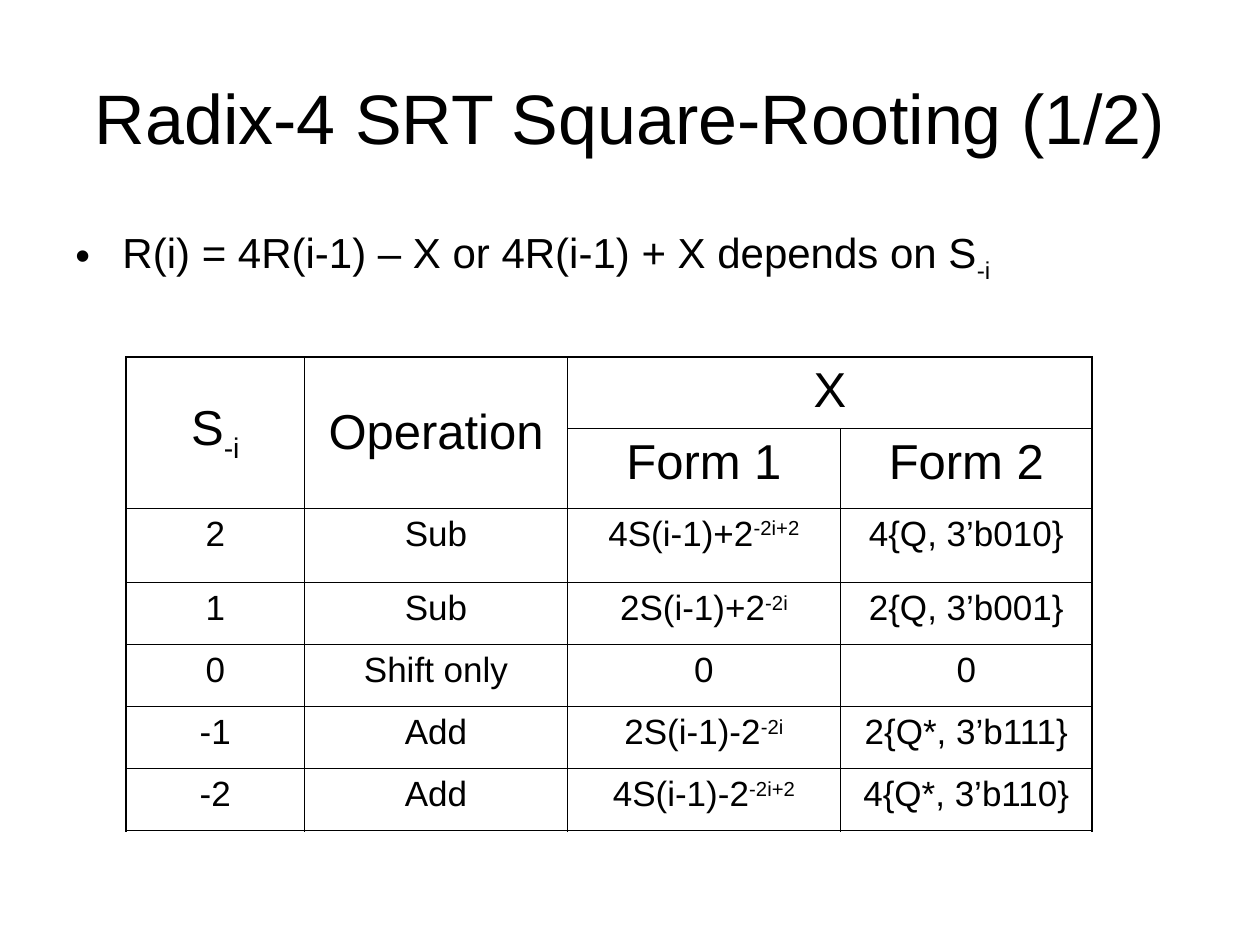
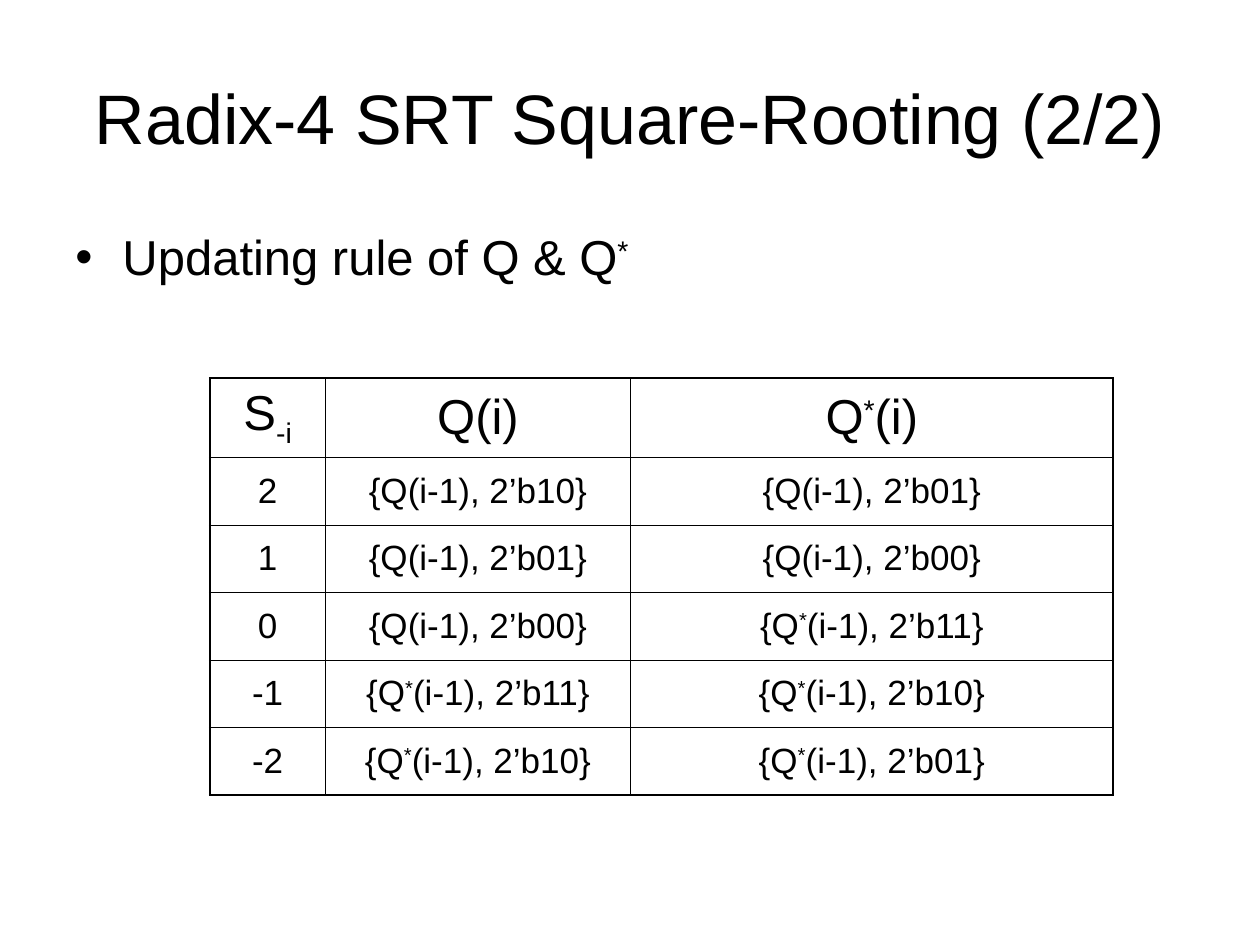
from dataclasses import dataclass

from lxml.etree import SubElement
from pptx import Presentation
from pptx.dml.color import RGBColor
from pptx.enum.text import MSO_ANCHOR, PP_ALIGN
from pptx.oxml.ns import qn
from pptx.util import Cm, Pt


# Shared look
@dataclass(frozen=True)
class Theme:
    font: str = "Arial"
    ink: str = "000000"
    title: int = 40
    head: int = 28
    note: int = 24
    cell: int = 20
    outer_line: float = 1.08
    inner_line: float = 0.45


THEME = Theme()
BASELINES = {"^": "30000", "_": "-25000"}


def set_attrs(obj, formats):
    for name, value in formats.items():
        setattr(obj, name, value)


def add_runs(p, text, size):
    """Split text at "|"; a part led by ^ or _ is raised or lowered."""
    for part in text.split("|"):
        r = p.add_run()
        r.text = part.lstrip("^_")
        set_attrs(r.font, {"name": THEME.font, "size": Pt(size)})
        r.font.color.rgb = RGBColor.from_string(THEME.ink)
        if part[0] in BASELINES:
            r._r.get_or_add_rPr().set("baseline", BASELINES[part[0]])


def add_text(s, box, text, size, anchor, formats):
    tf = s.shapes.add_textbox(*map(Cm, box)).text_frame
    set_attrs(tf, {"word_wrap": True, "vertical_anchor": anchor})
    p = tf.paragraphs[0]
    set_attrs(p, formats)
    add_runs(p, text, size)
    return p


def add_title(s, text):
    add_text(s, (1.27, 0.76, 22.86, 3.18), text, THEME.title,
             MSO_ANCHOR.MIDDLE, {"alignment": PP_ALIGN.CENTER})


def add_bullet(s, box, text, size):
    p = add_text(s, box, text, size, MSO_ANCHOR.TOP,
                 {"space_before": Pt(size // 4)})
    pPr = p._p.get_or_add_pPr()
    pPr.set("marL", str(Cm(0.95)))
    pPr.set("indent", str(-Cm(0.95)))
    SubElement(SubElement(pPr, qn("a:buClr")), qn("a:srgbClr"), val=THEME.ink)
    SubElement(pPr, qn("a:buFont"), typeface=THEME.font)
    SubElement(pPr, qn("a:buChar"), char="•")


def add_borders(cell, outer_sides):
    tcPr = cell._tc.get_or_add_tcPr()
    for side, is_outer in outer_sides.items():
        width = THEME.outer_line if is_outer else THEME.inner_line
        ln = SubElement(tcPr, qn(f"a:ln{side}"), w=str(Pt(width)))
        fill = SubElement(ln, qn("a:solidFill"))
        SubElement(fill, qn("a:srgbClr"), val=THEME.ink)


def add_grid(s, left, top, cols, heights, rows, anchor, heads=1, merges=()):
    """Table with a heavy outline; None marks a cell covered by a merge."""
    n_rows, n_cols = len(rows), len(cols)
    table = s.shapes.add_table(n_rows, n_cols, Cm(left), Cm(top),
                               Cm(sum(cols)), Cm(sum(heights))).table
    set_attrs(table, {"first_row": False, "horz_banding": False})
    for column, width in zip(table.columns, cols):
        column.width = Cm(width)
    for row, height in zip(table.rows, heights):
        row.height = Cm(height)
    for first, last in merges:
        table.cell(*first).merge(table.cell(*last))

    for i, row in enumerate(rows):
        size = THEME.head if i < heads else THEME.cell
        for j, text in enumerate(row):
            cell = table.cell(i, j)
            if text is not None:
                add_borders(cell, {"L": j == 0,
                                   "R": j + cell.span_width == n_cols,
                                   "T": i == 0,
                                   "B": i + cell.span_height == n_rows})
                tall = cell.span_height > 1
                cell.vertical_anchor = MSO_ANCHOR.MIDDLE if tall else anchor
                p = cell.text_frame.paragraphs[0]
                set_attrs(p, {"alignment": PP_ALIGN.CENTER,
                              "space_before": Pt(size // 4)})
                add_runs(p, text, size)
            cell.fill.background()


# Table contents
OPERATIONS = [
    ("S|_-i", "Operation", "X", None),
    (None, None, "Form 1", "Form 2"),
    ("2", "Sub", "4S(i-1)+2|^-2i+2", "4{Q, 3’b010}"),
    ("1", "Sub", "2S(i-1)+2|^-2i", "2{Q, 3’b001}"),
    ("0", "Shift only", "0", "0"),
    ("-1", "Add", "2S(i-1)-2|^-2i", "2{Q*, 3’b111}"),
    ("-2", "Add", "4S(i-1)-2|^-2i+2", "4{Q*, 3’b110}"),
]
UPDATES = [
    ("S|_-i", "Q(i)", "Q|^*|(i)"),
    ("2", "{Q(i-1), 2’b10}", "{Q(i-1), 2’b01}"),
    ("1", "{Q(i-1), 2’b01}", "{Q(i-1), 2’b00}"),
    ("0", "{Q(i-1), 2’b00}", "{Q|^*|(i-1), 2’b11}"),
    ("-1", "{Q|^*|(i-1), 2’b11}", "{Q|^*|(i-1), 2’b10}"),
    ("-2", "{Q|^*|(i-1), 2’b10}", "{Q|^*|(i-1), 2’b01}"),
]


def main():
    prs = Presentation()
    set_attrs(prs, {"slide_width": Cm(25.4), "slide_height": Cm(19.05)})
    blank = prs.slide_layouts[6]

    # Operation chosen by each digit
    s = prs.slides.add_slide(blank)
    add_title(s, "Radix-4 SRT Square-Rooting (1/2)")
    add_bullet(s, (1.27, 4.45, 21.59, 2.33),
               "R(i) = 4R(i-1) – X or 4R(i-1) + X depends on S|_-i", THEME.note)
    add_grid(s, 2.54, 7.2, (3.6, 5.3, 5.5, 5.08),
             [1.42, 1.52, 1.5] + [1.25] * 4, OPERATIONS, MSO_ANCHOR.TOP, heads=2,
             merges=[((0, 0), (1, 0)), ((0, 1), (1, 1)), ((0, 2), (0, 3))])

    # Update rule of the partial roots
    s = prs.slides.add_slide(blank)
    add_title(s, "Radix-4 SRT Square-Rooting (2/2)")
    add_bullet(s, (1.27, 4.45, 22.23, 1.7), "Updating rule of Q & Q|^*", THEME.head)
    add_grid(s, 4.23, 7.62, (2.33, 6.15, 9.73), [1.52] + [1.36] * 5,
             UPDATES, MSO_ANCHOR.MIDDLE)

    prs.save("out.pptx")


if __name__ == "__main__":
    main()
